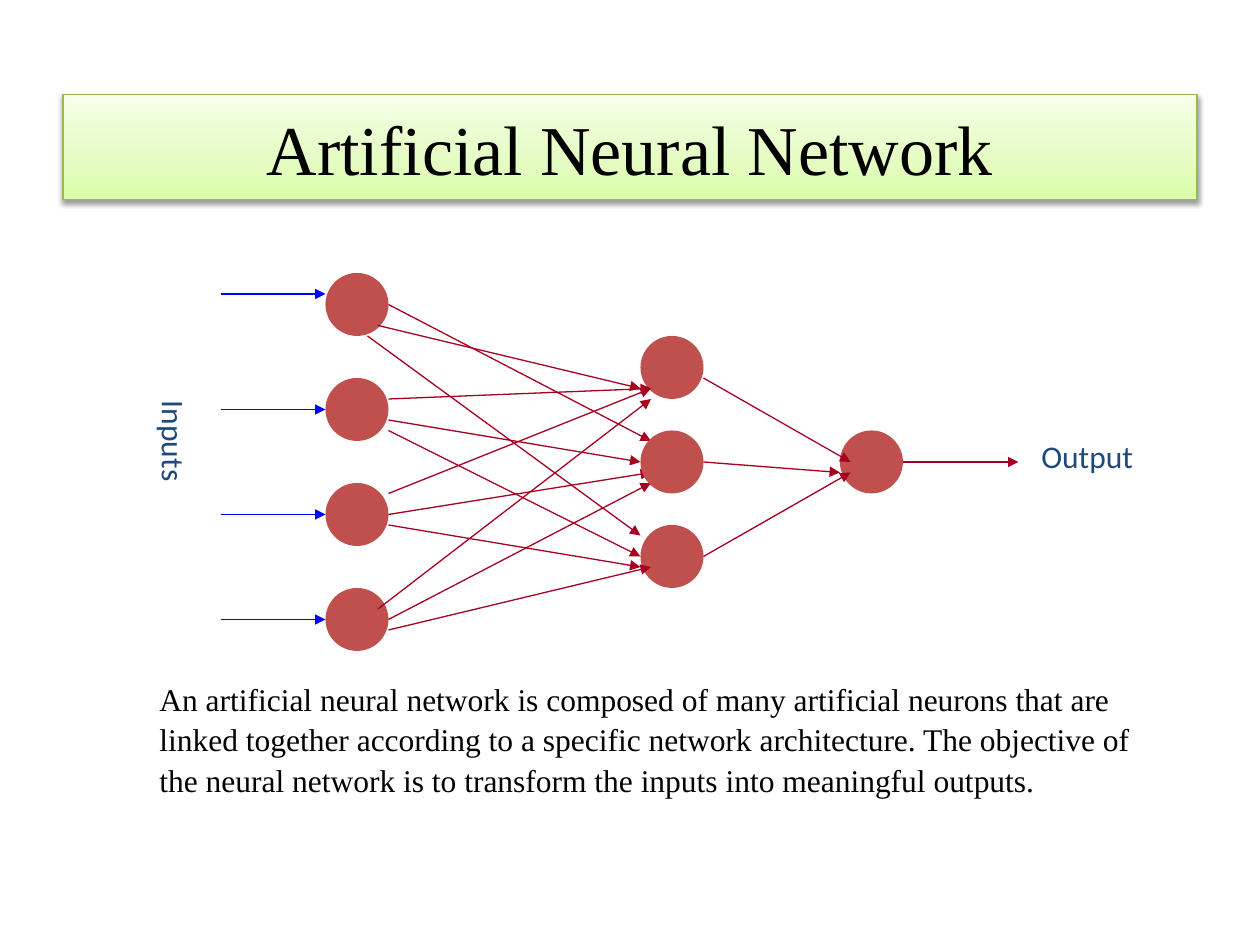
from dataclasses import dataclass

from lxml import etree
from pptx import Presentation
from pptx.dml.color import RGBColor
from pptx.enum.shapes import MSO_CONNECTOR, MSO_SHAPE
from pptx.enum.text import MSO_ANCHOR, PP_ALIGN
from pptx.oxml import parse_xml
from pptx.oxml.ns import nsdecls, qn
from pptx.util import Pt

OVAL = MSO_SHAPE.OVAL
STRAIGHT = MSO_CONNECTOR.STRAIGHT
MIDDLE = MSO_ANCHOR.MIDDLE
CENTER = PP_ALIGN.CENTER


@dataclass(frozen=True)
class Theme:
    serif: str = "Times New Roman"
    sans: str = "Calibri"
    title_size: int = 40
    text_size: int = 18
    line_width: float = 0.75
    ink: str = "000000"
    label: str = "1F497D"
    neuron: str = "C0504D"
    link: str = "A50021"
    signal: str = "0000FF"
    title_line: str = "98B955"
    title_stops: tuple = ((0, "DAFDA7"), (35, "E4FCC2"), (100, "F5FFE7"))


THEME = Theme()

# Network geometry, relative to the network box
RADIUS = 18
INPUTS = [(78, y) for y in (18, 78, 138, 198)]
HIDDEN = [(258, y) for y in (54, 108, 162)]
OUTPUT = (372, 108)
SIGNAL_SHIFTS = (-6, 0, 0, 0)

# Link ends as offsets from the two neuron centres: [input][hidden]
HIDDEN_LINKS = (
    (((12, 12), (-18, 12)), ((18, 0), (-12, -12)), ((6, 18), (-18, -12))),
    (((18, -6), (-12, 12)), ((18, 6), (-18, 0)), ((18, 12), (-18, 0))),
    (((18, -12), (-12, 12)), ((18, 0), (-12, 6)), ((18, 6), (-18, 6))),
    (((12, -6), (-12, 18)), ((18, 0), (-12, 12)), ((18, 6), (-12, 6))),
)
OUTPUT_LINKS = (((18, 6), (-12, 0)), ((18, 0), (-18, 6)), ((18, 0), (-12, 6)))


def color(value):
    return RGBColor.from_string(value)


def shift(point, offset):
    return point[0] + offset[0], point[1] + offset[1]


def add_span(para, text, font, size, ink):
    span = para.add_run()
    span.text = text
    span.font.name = font
    span.font.size = Pt(size)
    span.font.color.rgb = color(ink)


def place_title(page, box, text):
    title = page.shapes.title
    title.left, title.top, title.width, title.height = map(Pt, box)
    title.line.color.rgb = color(THEME.title_line)
    title.line.width = Pt(THEME.line_width)

    # Three-stop gradient, then a soft shadow below
    stops = "".join(
        f'<a:gs pos="{position * 1000}"><a:srgbClr val="{value}"/></a:gs>'
        for position, value in THEME.title_stops)
    gradient = parse_xml(
        f'<a:gradFill {nsdecls("a")} rotWithShape="1"><a:gsLst>{stops}</a:gsLst>'
        '<a:lin ang="16200000" scaled="0"/></a:gradFill>')
    shadow = parse_xml(
        f'<a:effectLst {nsdecls("a")}><a:outerShdw blurRad="{Pt(3.1)}" '
        f'dist="{Pt(1.6)}" dir="5400000" rotWithShape="0"><a:srgbClr val="000000">'
        '<a:alpha val="38000"/></a:srgbClr></a:outerShdw></a:effectLst>')
    outline = title.line._get_or_add_ln()
    outline.addprevious(gradient)
    outline.addnext(shadow)

    title.text_frame.vertical_anchor = MIDDLE
    para = title.text_frame.paragraphs[0]
    para.alignment = CENTER
    add_span(para, text, THEME.serif, THEME.title_size, THEME.ink)


def place_text(page, box, text, font, ink, vertical=False, spacing=None):
    frame = page.shapes.add_textbox(*map(Pt, box)).text_frame
    frame.word_wrap = True
    if vertical:
        frame._txBody.bodyPr.set("vert", "eaVert")
    para = frame.paragraphs[0]
    if spacing:
        para.line_spacing = spacing
    add_span(para, text, font, THEME.text_size, ink)


def add_neuron(page, center):
    neuron = page.shapes.add_shape(
        OVAL, Pt(center[0] - RADIUS), Pt(center[1] - RADIUS),
        Pt(2 * RADIUS), Pt(2 * RADIUS))
    neuron.shadow.inherit = False
    neuron.fill.solid()
    neuron.fill.fore_color.rgb = color(THEME.neuron)
    neuron.line.fill.background()


def add_arrow(page, start, end, ink):
    arrow = page.shapes.add_connector(STRAIGHT, *map(Pt, (*start, *end)))
    arrow.line.color.rgb = color(ink)
    arrow.line.width = Pt(THEME.line_width)
    outline = arrow.line._get_or_add_ln()
    etree.SubElement(outline, qn("a:tailEnd"), type="triangle")
    etree.SubElement(arrow._element.spPr, qn("a:effectLst"))


def place_network(page, box):
    left, top, width, _ = box
    inputs = [shift(center, (left, top)) for center in INPUTS]
    hidden = [shift(center, (left, top)) for center in HIDDEN]
    output = shift(OUTPUT, (left, top))

    def link_hidden(target):
        for source, links in zip(inputs, HIDDEN_LINKS):
            start, end = links[target]
            add_arrow(page, shift(source, start),
                      shift(hidden[target], end), THEME.link)

    # Input layer, with the middle links behind the hidden layer
    for center in inputs:
        add_neuron(page, center)
    link_hidden(1)

    # Hidden layer and its outer links
    for center in hidden:
        add_neuron(page, center)
    link_hidden(0)
    link_hidden(2)

    # Output neuron
    add_neuron(page, output)
    for source, (start, end) in zip(hidden, OUTPUT_LINKS):
        add_arrow(page, shift(source, start), shift(output, end), THEME.link)
    add_arrow(page, shift(output, (RADIUS, 0)), (left + width, output[1]), THEME.link)

    # Incoming signals
    for (x, y), rise in zip(inputs, SIGNAL_SHIFTS):
        add_arrow(page, (left, y + rise), (x - RADIUS, y + rise), THEME.signal)

    # Labels on either side
    place_text(page, (left - 48, top + 66, 36, 120), "Inputs",
               THEME.sans, THEME.label, vertical=True)
    place_text(page, (left + width + 6, top + 90, 96, 29), "Output",
               THEME.sans, THEME.label)


def main():
    deck = Presentation()
    deck.slide_width, deck.slide_height = Pt(720), Pt(540)
    page = deck.slides.add_slide(deck.slide_layouts[5])
    place_title(page, (36, 54, 648, 60), "Artificial Neural Network")
    place_network(page, (126, 156, 456, 216))
    place_text(
        page, (84, 384, 588, 73),
        "An artificial neural network is composed of many artificial neurons "
        "that are linked together according to a specific network architecture. "
        "The objective of the neural network is to transform the inputs into "
        "meaningful outputs.",
        THEME.serif, THEME.ink, spacing=1.06)
    deck.save("out.pptx")


if __name__ == "__main__":
    main()
